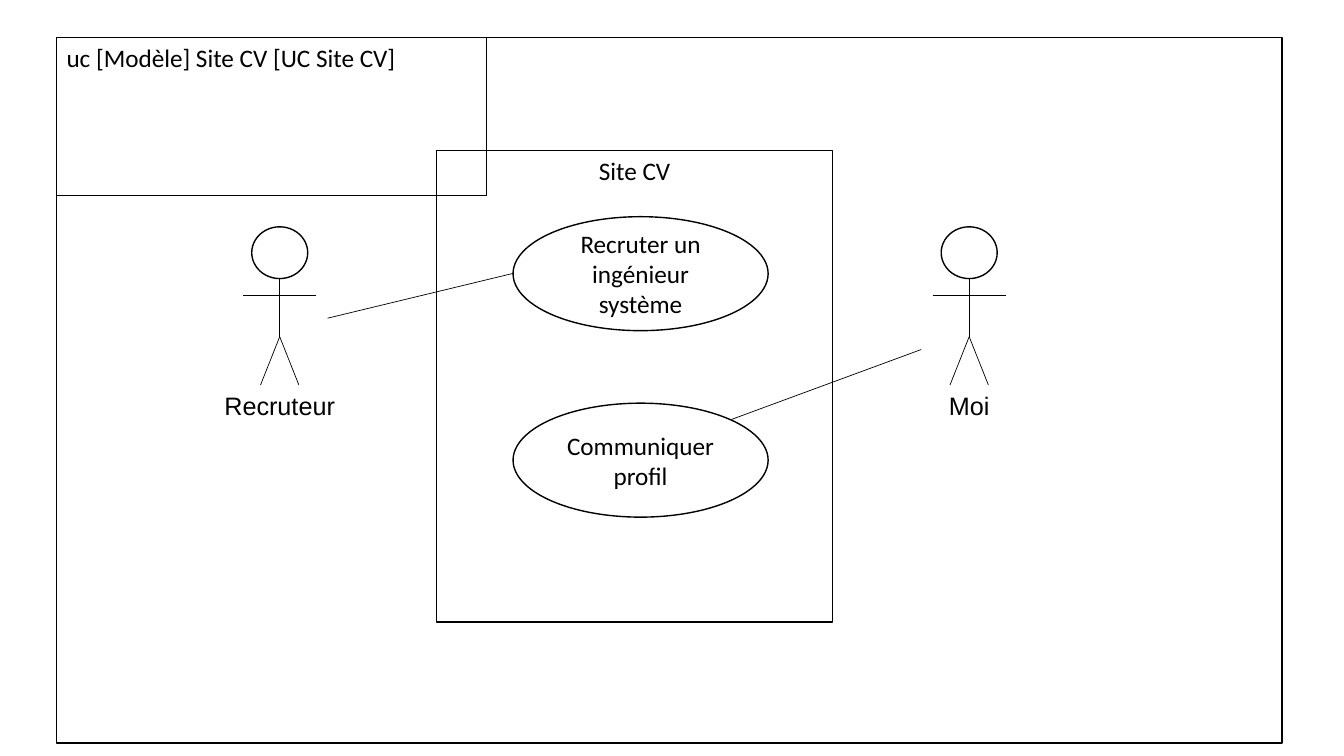
"""Build the use case diagram of the CV site."""
import pptx
import pptx.util
import pptx.dml.color
import pptx.enum.shapes
import pptx.enum.text
import pptx.oxml.ns
import lxml.etree

Pt = pptx.util.Pt
SHAPE = pptx.enum.shapes.MSO_SHAPE
ALIGN = pptx.enum.text.PP_ALIGN
ANCHOR = pptx.enum.text.MSO_ANCHOR
FIT = pptx.enum.text.MSO_AUTO_SIZE
COLORS = {"ink": "000000"}
INK = pptx.dml.color.RGBColor.from_string(COLORS["ink"])


def write(holder, text, font="Calibri", size=18, align=ALIGN.CENTER,
          anchor=ANCHOR.TOP, fit=FIT.SHAPE_TO_FIT_TEXT):
    frame = holder.text_frame
    frame.text = text
    frame.word_wrap = True
    frame.auto_size = fit
    frame.vertical_anchor = anchor
    paragraph = frame.paragraphs[0]
    paragraph.alignment = align
    run = paragraph.runs[0]
    run.font.name, run.font.size = font, Pt(size)
    run.font.color.rgb = INK


def draw(shapes, kind, x, y, w, h):
    """Add an outlined shape, or a thin line from (x, y) to (w, h) if kind is None."""
    if kind is None:
        item = shapes.add_connector(pptx.enum.shapes.MSO_CONNECTOR.STRAIGHT,
                                    Pt(x), Pt(y), Pt(w), Pt(h))
        lxml.etree.SubElement(item._element.spPr, pptx.oxml.ns.qn("a:effectLst"))
    else:
        item = shapes.add_shape(kind, Pt(x), Pt(y), Pt(w), Pt(h))
        item.shadow.inherit = False
        item.fill.background()
    item.line.color.rgb = INK
    item.line.width = Pt(0.5 if kind is None else 1)
    return item


deck = pptx.Presentation()
deck.slide_width, deck.slide_height = Pt(960), Pt(540)
slide = deck.slides.add_slide(deck.slide_layouts[5])

for actor, center in (("Moi", 692.3), ("Recruteur", 199.8)):
    figure = slide.shapes.add_group_shape().shapes
    draw(figure, SHAPE.OVAL, center - 20, 162, 40, 37)
    draw(figure, None, center, 199, center, 240.5)
    draw(figure, None, center - 26, 211, center + 26, 211)
    for foot in (-13.7, 13.7):
        draw(figure, None, center, 240.5, center + foot, 275)
    label = figure.add_textbox(Pt(center - 50.8), Pt(275), Pt(101.6), Pt(29))
    write(label, actor, font="Arial")

draw(slide.shapes, SHAPE.RECTANGLE, 40.3, 26.8, 875.5, 504)
title = slide.shapes.title
title.left, title.top, title.width, title.height = Pt(40.3), Pt(26.8), Pt(307.5), Pt(29)
title.line.color.rgb = INK
title.line.width = Pt(0.75)
write(title, "uc [Modèle] Site CV [UC Site CV]", align=ALIGN.LEFT)

system = slide.shapes.add_group_shape().shapes
draw(system, SHAPE.RECTANGLE, 311.8, 107.3, 283, 337)
system_name = system.add_textbox(Pt(311.8), Pt(107.3), Pt(283), Pt(29))
write(system_name, "Site CV")

for use_case, top, association in (
    ("Recruter un ingénieur système", 154.8, (366.5, 195.3, 234, 227.3)),
    ("Communiquer profil", 288, (522.3, 299.7, 658, 249.7)),
):
    bubble = draw(slide.shapes, SHAPE.OVAL, 366.5, top, 182.2, 81.4)
    write(bubble, use_case, anchor=ANCHOR.MIDDLE, fit=FIT.NONE)
    draw(slide.shapes, None, *association)

deck.save("out.pptx")
